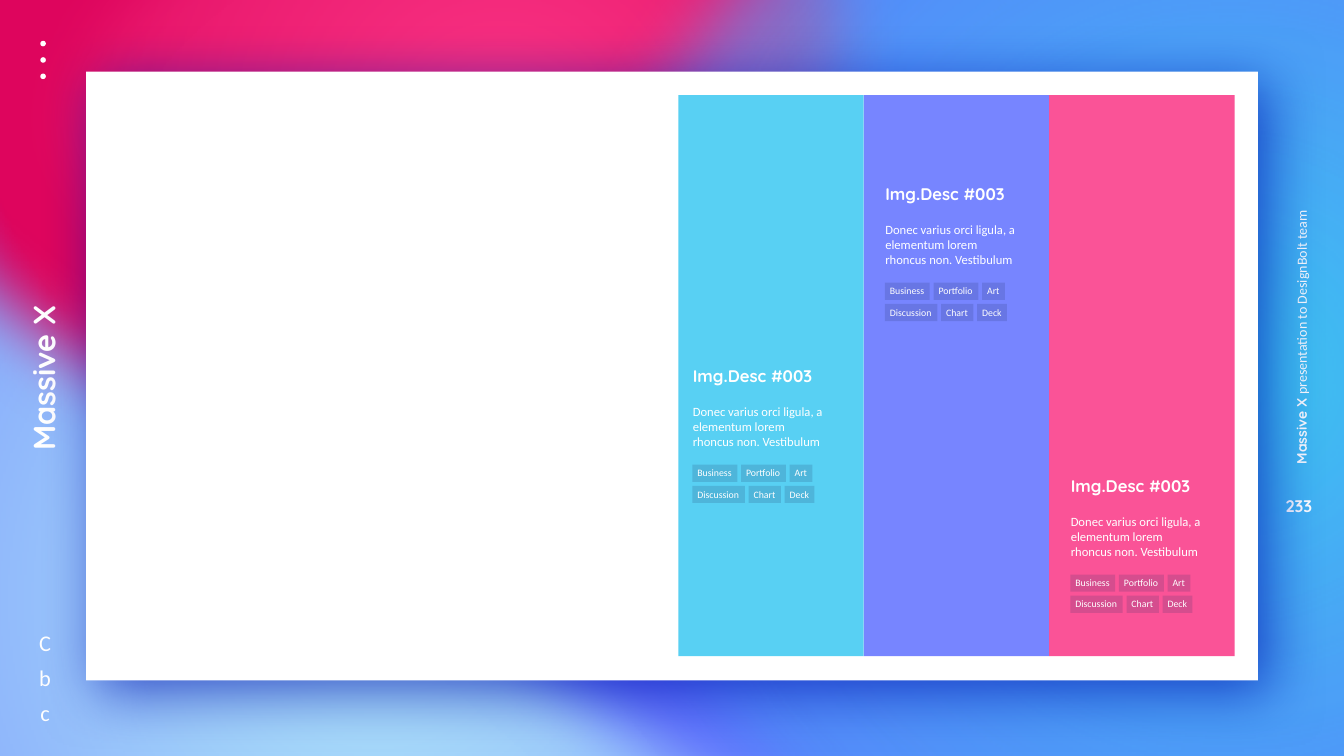
import pptx
import pptx.dml.color
import pptx.enum.shapes
import pptx.enum.text
import pptx.oxml
import pptx.oxml.ns
import pptx.util

Inches = pptx.util.Inches
Pt = pptx.util.Pt
RGBColor = pptx.dml.color.RGBColor
qn = pptx.oxml.ns.qn
MSO_SHAPE = pptx.enum.shapes.MSO_SHAPE
MSO_ANCHOR = pptx.enum.text.MSO_ANCHOR
PP_ALIGN = pptx.enum.text.PP_ALIGN
MSO_AUTO_SIZE = pptx.enum.text.MSO_AUTO_SIZE

WHITE = RGBColor(0xFF, 0xFF, 0xFF)
ICE = RGBColor(0xB1, 0xE9, 0xF9)
VIOLET = RGBColor(0x60, 0x70, 0xFF)
CRIMSON = RGBColor(0xDE, 0x05, 0x5D)
PINK = RGBColor(0xFA, 0x35, 0x85)
CYAN = RGBColor(0x3B, 0xC8, 0xF1)
NAVY = RGBColor(0x22, 0x30, 0x63)
SHADOW_BLUE = RGBColor(0x00, 0x12, 0xB0)

HEADING = "Quicksand"
BODY = "Calibri"
SOFT_EDGE = Pt(100)

BLOB_START = (97, 47.9)
BLOB_CURVES = [
    ((94.4, 37.7), (90.3, 28), (84.4, 19.6)),
    ((80.8, 14.3), (76.5, 9.7), (71.5, 6)),
    ((51.9, -8.9), (28.1, 7.5), (19.8, 16.9)),
    ((11.5, 26.3), (-1.3, 45.7), (0.1, 59.7)),
    ((1.5, 73.8), (7.2, 80), (13, 84.3)),
    ((18.8, 88.6), (28.7, 92.6), (32, 93.5)),
    ((35.2, 94.5), (52, 98.9), (61.5, 99.8)),
    ((67.5, 100.4), (73.7, 100), (79.5, 98)),
    ((82.2, 97.1), (84.9, 95.9), (87.1, 94)),
    ((89.4, 92), (91.6, 89.8), (93.4, 87.4)),
    ((96.4, 83.4), (98.7, 78.7), (99.6, 73.6)),
    ((100.5, 68.5), (99.9, 63.1), (99.1, 57.9)),
    ((98.6, 54.5), (97.8, 51.2), BLOB_START),
]

BLOBS = [
    ((-9.94, 0.18, 34.91, 23.42), 195, [(0, ICE, 100), (77, VIOLET, 100)]),
    ((-4.39, -8.96, 22.98, 20.55), 15,
     [(0, CRIMSON, 100), (40, CRIMSON, 100), (71, VIOLET, 100)]),
    ((2.64, -10.22, 32.83, 29.36), 255, [(0, VIOLET, 100)]),
    ((0.62, -5.57, 18.68, 16.7), 150, [(0, PINK, 100), (70, CRIMSON, 100)]),
    ((8.02, -7.18, 32.83, 29.36), 255, [(0, CYAN, 100), (80, VIOLET, 32)]),
]

COLUMNS = [(CYAN, 13.65, 7.21), (VIOLET, 17.47, 3.6), (PINK, 21.15, 9.39)]
TAG_ROWS = [
    [("Business", 0.89), ("Portfolio", 0.89), ("Art", 0.45)],
    [("Discussion", 1.04), ("Chart", 0.64), ("Deck", 0.59)],
]


def drawing_xml(body):
    namespace = pptx.oxml.ns.nsdecls("a")
    return pptx.oxml.parse_xml(body.replace(">", f" {namespace}>", 1))


def add_effect(shape, body):
    shape.element.spPr.find(qn("a:effectLst")).append(drawing_xml(body))


def curve_outline(blob):
    outline = next(blob.element.spPr.iter(qn("a:path")))
    outline.set("w", "10000")
    outline.set("h", "10000")
    start = next(outline.iter(qn("a:pt")))
    start.set("x", str(round(BLOB_START[0] * 100)))
    start.set("y", str(round(BLOB_START[1] * 100)))
    for line, curve in zip(outline.findall(qn("a:lnTo")), BLOB_CURVES):
        points = "".join(f'<a:pt x="{round(x * 100)}" y="{round(y * 100)}"/>'
                         for x, y in curve)
        outline.replace(line, drawing_xml(f"<a:cubicBezTo>{points}</a:cubicBezTo>"))


def fill_gradient(blob, stops):
    blob.fill.background()
    stop_xml = "".join(
        f'<a:gs pos="{position * 1000}"><a:srgbClr val="{color}">'
        f'<a:alpha val="{alpha * 1000}"/></a:srgbClr></a:gs>'
        for position, color, alpha in stops)
    gradient = drawing_xml(
        f'<a:gradFill rotWithShape="1"><a:gsLst>{stop_xml}</a:gsLst><a:path path="circle">'
        '<a:fillToRect l="50000" t="50000" r="50000" b="50000"/></a:path></a:gradFill>')
    properties = blob.element.spPr
    properties.replace(properties.find(qn("a:noFill")), gradient)


def add_blob(slide, bounds, rotation, stops):
    builder = slide.shapes.build_freeform(*BLOB_START, scale=Inches(0.1))
    builder.add_line_segments([curve[-1] for curve in BLOB_CURVES], close=True)
    blob = builder.convert_to_shape()
    curve_outline(blob)
    blob.left, blob.top, blob.width, blob.height = map(Inches, bounds)
    blob.rotation = rotation
    blob.shadow.inherit = False
    blob.line.fill.background()
    if len(stops) > 1:
        fill_gradient(blob, stops)
    else:
        blob.fill.solid()
        blob.fill.fore_color.rgb = stops[0][1]
    add_effect(blob, f'<a:softEdge rad="{SOFT_EDGE}"></a:softEdge>')


def add_block(shapes, bounds, color, alpha=100, kind=MSO_SHAPE.RECTANGLE):
    block = shapes.add_shape(kind, *map(Inches, bounds))
    block.shadow.inherit = False
    block.line.fill.background()
    block.fill.solid()
    block.fill.fore_color.rgb = color
    if alpha < 100:
        color_element = next(block.element.spPr.iter(qn("a:srgbClr")))
        color_element.append(drawing_xml(f'<a:alpha val="{alpha * 1000}"></a:alpha>'))
    return block


def write_text(shape, runs, size, align=PP_ALIGN.LEFT, anchor=MSO_ANCHOR.TOP, wrap=True):
    frame = shape.text_frame
    frame.word_wrap = wrap
    frame.auto_size = MSO_AUTO_SIZE.SHAPE_TO_FIT_TEXT
    frame.vertical_anchor = anchor
    para = frame.paragraphs[0]
    para.alignment = align
    for text, font_name in runs:
        span = para.add_run()
        span.text = text
        span.font.name = font_name
        span.font.size = Pt(size)
        span.font.bold = font_name == HEADING
        span.font.color.rgb = WHITE


def add_text(shapes, bounds, runs, size, rotation=0, **layout):
    box = shapes.add_textbox(*map(Inches, bounds))
    box.rotation = rotation
    write_text(box, runs, size, **layout)
    return box


def add_frame_labels(slide):
    shapes = slide.shapes
    centered = {"align": PP_ALIGN.CENTER, "anchor": MSO_ANCHOR.MIDDLE, "wrap": False}
    add_text(shapes, (-1.54, 7.08, 4.8, 0.84), [("Massive X", HEADING)], 44, 270,
             align=PP_ALIGN.CENTER)
    for index in range(3):
        add_block(shapes, (0.8, 0.81 + index * 0.65 / 2, 0.11, 0.11), WHITE,
                  kind=MSO_SHAPE.OVAL)
    add_text(shapes, (23.18, 6.45, 5.28, 0.44),
             [("Massive X", HEADING), (" presentation to DesignBolt team", BODY)], 20, 270,
             anchor=MSO_ANCHOR.MIDDLE, wrap=False)
    number = add_text(shapes, (25.6, 9.71, 0.35, 0.64), [("233", HEADING)], 24, **centered)
    number.text_frame.auto_size = MSO_AUTO_SIZE.NONE
    for index, letter in enumerate("Cbc"):
        add_text(shapes, (0.57, 12.43 + index * 1.39 / 2, 0.65, 0.64), [(letter, BODY)], 32,
                 **centered)


def add_panel(slide):
    panel = add_block(slide.shapes, (1.71, 1.42, 23.25, 12.08), WHITE)
    add_effect(panel, f'<a:outerShdw blurRad="{Pt(84)}" dist="{Pt(24)}" dir="2700000" '
               f'algn="tl" rotWithShape="0"><a:srgbClr val="{SHADOW_BLUE}">'
               '<a:alpha val="66000"/></a:srgbClr></a:outerShdw>')
    divider = add_block(slide.shapes, (7.66, 7.37, 11.35, 0.26), WHITE)
    divider.rotation = 90


def add_description(slide, left, top):
    shapes = slide.shapes.add_group_shape().shapes
    add_text(shapes, (left, top, 3.02, 0.5), [("Img.Desc #003", HEADING)], 24)
    add_text(shapes, (left, top + 0.75, 2.83, 1.01),
             [("Donec varius orci ligula, a elementum lorem rhoncus non. Vestibulum", BODY)], 18)
    for row, tags in enumerate(TAG_ROWS):
        tag_left = left + 0.09
        for label, width in tags:
            tag = add_block(shapes, (tag_left, top + 2.01 + row * 0.42, width, 0.34), NAVY, 17)
            write_text(tag, [(label, BODY)], 14, wrap=False)
            tag_left += width + 0.15 / 2


def main():
    deck = pptx.Presentation()
    deck.slide_width = Inches(26.67)
    deck.slide_height = Inches(15)
    slide = deck.slides.add_slide(deck.slide_layouts[6])
    for bounds, rotation, stops in BLOBS:
        add_blob(slide, bounds, rotation, stops)
    add_frame_labels(slide)
    add_panel(slide)
    for index, (color, left, top) in enumerate(COLUMNS):
        add_block(slide.shapes, (13.46 + index * 3.68, 1.89, 3.68, 11.13), color, 85)
        add_description(slide, left, top)
    deck.save("out.pptx")


if __name__ == "__main__":
    main()
